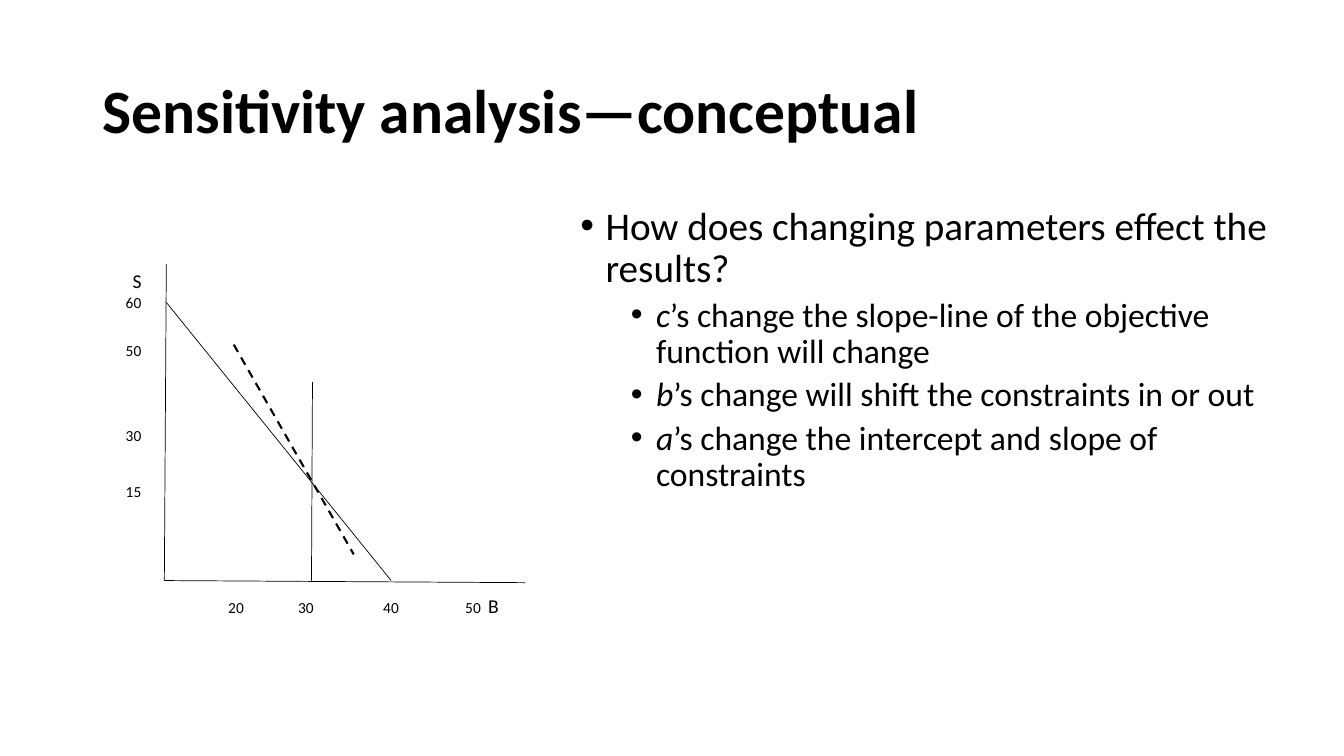
from pptx import Presentation
from pptx.dml.color import RGBColor
from pptx.enum.dml import MSO_LINE
from pptx.enum.shapes import MSO_CONNECTOR
from pptx.enum.text import MSO_ANCHOR, PP_ALIGN
from pptx.oxml.ns import qn
from pptx.util import Pt
from lxml import etree

STRAIGHT, DASH = MSO_CONNECTOR.STRAIGHT, MSO_LINE.DASH
MIDDLE, LEFT, CENTER = MSO_ANCHOR.MIDDLE, PP_ALIGN.LEFT, PP_ALIGN.CENTER
BLACK = RGBColor(0, 0, 0)
FONT = "Calibri"

# Content
TITLE = "Sensitivity analysis\u2014conceptual"
# italic lead, text, size, left margin, space before
BULLETS = [
    ("", "How does changing parameters effect the results?", 28, 18, 0),
    ("c", "\u2019s change the slope-line of the objective function will change", 24, 54, 5),
    ("b", "\u2019s change will shift the constraints in or out", 24, 54, 5),
    ("a", "\u2019s change the intercept and slope of constraints", 24, 54, 5),
]
HANGING = 18

# Graph lines: start x, start y, end x, end y
AXES = [(118.8, 188.6, 117.4, 414.7), (117.4, 414.7, 375.1, 416.2)]
CONSTRAINTS = [(223.2, 272.9, 222.5, 414.7), (118.8, 216, 279.4, 414.7)]
OBJECTIVE = (167, 246.2, 252.7, 396)

# Label centres along each axis
X_TICKS = [("20", 168.6), ("30", 218.6), ("40", 279.3), ("50", 337.9)]
Y_TICKS = [("60", 215.7), ("50", 250.2), ("30", 310.9), ("15", 350.9)]
X_ROW, Y_COLUMN = 433.6, 95.4
LABELS = [(t, x, X_ROW, 11) for t, x in X_TICKS]
LABELS += [(t, Y_COLUMN, y, 11) for t, y in Y_TICKS]
LABELS += [("B", 352.5, 432.8, 14), ("S", 98, 200.4, 14)]
LABEL_W, LABEL_H = 24, 18

prs = Presentation()
prs.slide_width, prs.slide_height = Pt(960), Pt(540)
s = prs.slides.add_slide(prs.slide_layouts[5])


def set_font(p, size, bold=False):
    p.font.name, p.font.size, p.font.bold = FONT, Pt(size), bold
    p.font.color.rgb = BLACK


def place(sp, left, top, width, height):
    sp.left, sp.top, sp.width, sp.height = map(Pt, (left, top, width, height))


def add_line(ends, width, dash=None):
    line = s.shapes.add_connector(STRAIGHT, *map(Pt, ends))
    line.line.color.rgb, line.line.width = BLACK, Pt(width)
    if dash:
        line.line.dash_style = dash
    etree.SubElement(line._element.spPr, qn("a:effectLst"))


def add_label(text, x, y, size):
    sp = s.shapes.add_textbox(Pt(x - LABEL_W / 2), Pt(y - LABEL_H / 2),
                              Pt(LABEL_W), Pt(LABEL_H))
    tf = sp.text_frame
    tf.margin_left = tf.margin_right = tf.margin_top = tf.margin_bottom = 0
    tf.word_wrap, tf.vertical_anchor = True, MIDDLE
    p = tf.paragraphs[0]
    p.text, p.alignment = text, CENTER
    set_font(p, size)


# Title
title = s.shapes.title
place(title, 66, 28.8, 828, 104.4)
tf = title.text_frame
tf.vertical_anchor = MIDDLE
p = tf.paragraphs[0]
p.text, p.alignment, p.line_spacing = TITLE, LEFT, 0.9
set_font(p, 44, bold=True)

# Bullets
tf = s.shapes.add_textbox(Pt(407.5), Pt(144), Pt(507.6), Pt(342.7)).text_frame
tf.word_wrap = True
for i, (lead, text, size, margin, before) in enumerate(BULLETS):
    p = tf.add_paragraph() if i else tf.paragraphs[0]
    p.line_spacing, p.space_before = 0.9, Pt(before)
    if lead:
        p.level = 1
        r = p.add_run()
        r.text, r.font.italic = lead, True
    p.add_run().text = text
    set_font(p, size)
    pPr = p._p.get_or_add_pPr()
    pPr.set("marL", str(Pt(margin)))
    pPr.set("indent", str(-Pt(HANGING)))
    bullet_font = etree.Element(qn("a:buFont"), typeface="Arial")
    bullet = etree.Element(qn("a:buChar"), char="\u2022")
    pPr.find(qn("a:defRPr")).addprevious(bullet_font)
    bullet_font.addnext(bullet)

# Graph
for ends in AXES + CONSTRAINTS:
    add_line(ends, 0.5)
add_line(OBJECTIVE, 1.5, DASH)
for label in LABELS:
    add_label(*label)

prs.save("out.pptx")
